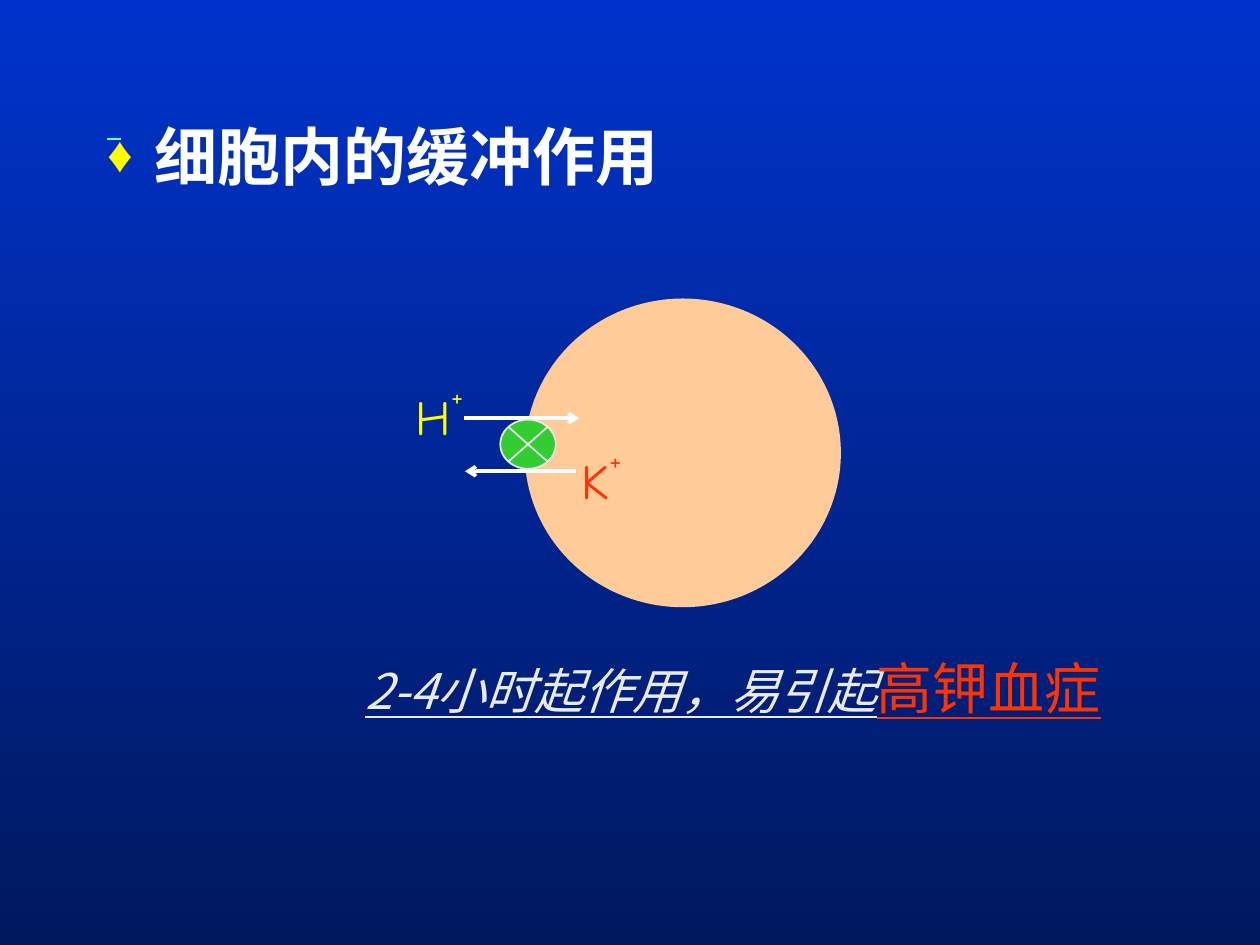
from dataclasses import dataclass

from lxml.etree import SubElement
from pptx import Presentation
from pptx.dml.color import RGBColor
from pptx.enum.shapes import MSO_CONNECTOR, MSO_SHAPE
from pptx.enum.text import MSO_ANCHOR, MSO_AUTO_SIZE
from pptx.oxml.ns import qn
from pptx.util import Pt


@dataclass(frozen=True)
class Theme:
    sky: str = "0033CC"
    navy: str = "00185E"
    white: str = "FFFFFF"
    pale: str = "EAEAEA"
    yellow: str = "FFFF00"
    red: str = "FF3300"
    peach: str = "FFCC99"
    green: str = "33CC33"
    cyan: str = "66FFFF"
    heading_size: int = 36
    emphasis_size: int = 32
    text_size: int = 28
    heading_font: str = "Times New Roman"
    chinese_font: str = "Noto Sans CJK SC"
    ion_font: str = "Comic Neue"


THEME = Theme()


def color(value):
    return RGBColor.from_string(value)


def format_run(run, size, hue, font_name, **styles):
    """Apply size, colour and fonts; styles are bold, italic, underline."""
    run.font.size = Pt(size)
    run.font.color.rgb = color(hue)
    run.font.name = font_name
    SubElement(run.font._element, qn("a:ea"), typeface=THEME.chinese_font)
    for style, value in styles.items():
        setattr(run.font, style, value)


def paint_background(slide):
    fill = slide.background.fill
    fill.gradient()
    fill.gradient_angle = 270
    for stop, hue, position in zip(fill.gradient_stops, (THEME.sky, THEME.navy), (0, 1)):
        stop.color.rgb = color(hue)
        stop.position = position


def add_heading(slide, text):
    """Fill the body placeholder with one diamond-bulleted line."""
    body = slide.placeholders[1]
    body.left, body.top, body.width, body.height = Pt(54), Pt(40), Pt(612), Pt(462)
    frame = body.text_frame
    frame.margin_top = Pt(27)
    frame.vertical_anchor = MSO_ANCHOR.TOP
    frame.text = text
    paragraph = frame.paragraphs[0]
    paragraph.space_before = Pt(0)
    properties = paragraph._p.get_or_add_pPr()
    properties.set("marL", str(Pt(27)))
    properties.set("indent", str(-Pt(27)))
    bullet_color = SubElement(properties, qn("a:buClr"))
    SubElement(bullet_color, qn("a:srgbClr"), val=THEME.yellow)
    SubElement(properties, qn("a:buSzPct"), val="80000")
    SubElement(properties, qn("a:buFont"), typeface=THEME.heading_font)
    SubElement(properties, qn("a:buChar"), char="♦")
    format_run(paragraph.runs[0], THEME.heading_size, THEME.white,
               THEME.heading_font, bold=True)


def add_text_line(shapes, left, top, width, parts):
    """Add a one-line text box and return the runs made from parts."""
    box = shapes.add_textbox(Pt(left), Pt(top), Pt(width), Pt(46))
    frame = box.text_frame
    frame.word_wrap = True
    frame.auto_size = MSO_AUTO_SIZE.SHAPE_TO_FIT_TEXT
    runs = []
    for part in parts:
        run = frame.paragraphs[0].add_run()
        run.text = part
        runs.append(run)
    return runs


def add_ion(shapes, symbol, left, top, width, hue):
    element, charge = add_text_line(shapes, left, top, width, (symbol, "+"))
    for run in (element, charge):
        format_run(run, THEME.text_size, hue, THEME.ion_font)
    charge.font._element.set("baseline", "60000")


def add_caption(shapes):
    effect, disorder = add_text_line(shapes, 201.6, 370, 477.4,
                                     ("2-4小时起作用，易引起", "高钾血症"))
    format_run(effect, THEME.text_size, THEME.pale, THEME.chinese_font,
               italic=True, underline=True)
    format_run(disorder, THEME.emphasis_size, THEME.red, THEME.chinese_font,
               italic=False, underline=True)


def add_figure(shapes, preset, left, top, width, height, hue, outline=None):
    figure = shapes.add_shape(preset, Pt(left), Pt(top), Pt(width), Pt(height))
    figure.shadow.inherit = False
    figure.fill.solid()
    figure.fill.fore_color.rgb = color(hue)
    if outline:
        figure.line.color.rgb = color(outline)
        figure.line.width = Pt(1)
    else:
        figure.line.fill.background()


def add_level_line(shapes, start, end, y, hue, weight, arrow=False):
    line = shapes.add_connector(MSO_CONNECTOR.STRAIGHT, Pt(start), Pt(y), Pt(end), Pt(y))
    line.line.color.rgb = color(hue)
    line.line.width = Pt(weight)
    if arrow:
        SubElement(line.line._get_or_add_ln(), qn("a:tailEnd"), type="arrow")
    SubElement(line._element.spPr, qn("a:effectLst"))


def add_cell_exchange(slide):
    """Draw the cell whose membrane pump swaps H+ for K+."""
    shapes = slide.shapes.add_group_shape().shapes
    add_ion(shapes, "H", 230.4, 212.4, 82.8, THEME.yellow)
    add_figure(shapes, MSO_SHAPE.OVAL, 299.8, 170.6, 180.7, 176.4, THEME.peach)
    add_level_line(shapes, 265, 331, 239, THEME.white, 2, arrow=True)
    add_ion(shapes, "K", 325.4, 249.1, 49.7, THEME.red)
    add_level_line(shapes, 329, 265.7, 269.3, THEME.white, 2, arrow=True)
    add_figure(shapes, MSO_SHAPE.FLOWCHART_SUMMING_JUNCTION,
               285.9, 239.8, 31.7, 28.1, THEME.green, THEME.pale)


def main():
    presentation = Presentation()
    presentation.slide_width, presentation.slide_height = Pt(720), Pt(540)
    slide = presentation.slides.add_slide(presentation.slide_layouts[1])
    title = slide.shapes.title._element
    title.getparent().remove(title)
    paint_background(slide)
    add_heading(slide, "细胞内的缓冲作用")
    add_level_line(slide.shapes, 61, 69, 79.4, THEME.cyan, 1)
    add_caption(slide.shapes)
    add_cell_exchange(slide)
    presentation.save("out.pptx")


if __name__ == "__main__":
    main()
